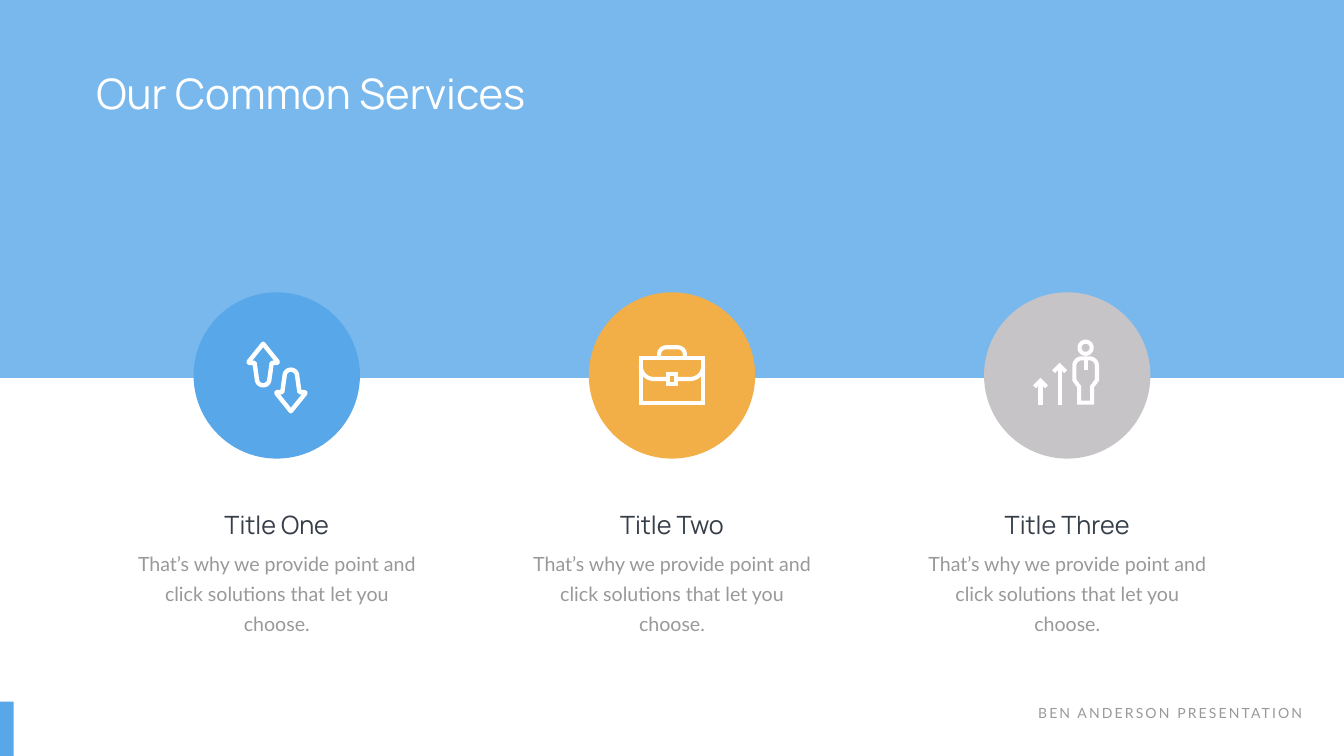
"""Build the "Our Common Services" slide with three icon columns."""
import math

import pptx
import pptx.dml.color
import pptx.enum.shapes
import pptx.enum.text
import pptx.oxml
import pptx.oxml.ns
import pptx.util

Inches, Pt = pptx.util.Inches, pptx.util.Pt
RGB = pptx.dml.color.RGBColor.from_string
ALIGN, ANCHOR = pptx.enum.text.PP_ALIGN, pptx.enum.text.MSO_ANCHOR
SHAPE = pptx.enum.shapes.MSO_SHAPE
NS = pptx.oxml.ns.nsdecls("a")

COLORS = {"blue": "57A7E9", "orange": "F3AF47", "silver": "C7C4C7",
          "white": "FFFFFF", "ink": "363E48", "gray": "999999"}
WIDTH, HEIGHT = 26.66, 15
PITCH, CIRCLE, CIRCLE_Y = 7.84, 3.3, 7.45
BODY = "That’s why we provide point and click solutions that let you choose."

deck = pptx.Presentation()
deck.slide_width, deck.slide_height = Inches(WIDTH), Inches(HEIGHT)
slide = deck.slides.add_slide(deck.slide_layouts[5])
centers = [WIDTH / 2 + (column - 1) * PITCH for column in range(3)]


def arc(x, y, radius, start, end):
    """Return points along a circle, angles clockwise in degrees."""
    steps = max(6, abs(end - start) // 10)
    angles = [math.radians(start + (end - start) * i / steps) for i in range(steps + 1)]
    return [(round(x + radius * math.cos(a), 3), round(y + radius * math.sin(a), 3))
            for a in angles]


def draw_outline(center, contours, width=5.8, join='<a:miter %s lim="800000"/>'):
    """Draw white strokes placed relative to a circle's center."""
    builder = None
    for contour in contours:
        points = [(Inches(center + x), Inches(CIRCLE_Y + y)) for x, y in contour]
        if builder is None:
            builder = slide.shapes.build_freeform(*points[0])
        else:
            builder.move_to(*points[0])
        builder.add_line_segments(points[1:], close=points[0] == points[-1])
    outline = builder.convert_to_shape()
    outline.shadow.inherit = False
    outline.fill.background()
    outline.line.color.rgb = RGB(COLORS["white"])
    outline.line.width = Pt(width)
    outline.line._ln.append(pptx.oxml.parse_xml(join % NS))


panels = [(SHAPE.RECTANGLE, 0, 0, WIDTH, HEIGHT / 2, "blue"),
          (SHAPE.RECTANGLE, 0, HEIGHT - 1.08, 0.27, 1.08, "blue")]
panels += [(SHAPE.OVAL, center - CIRCLE / 2, CIRCLE_Y - CIRCLE / 2, CIRCLE, CIRCLE, color)
           for center, color in zip(centers, ("blue", "orange", "silver"))]
drawn = []
for kind, left, top, width, height, color in panels:
    panel = slide.shapes.add_shape(kind, *map(Inches, (left, top, width, height)))
    panel.shadow.inherit = False
    panel.fill.solid()
    panel.fill.fore_color.rgb = RGB(COLORS[color])
    panel.line.fill.background()
    drawn.append(panel)

band = drawn[0]
band_color = band._element.spPr.find(".//" + pptx.oxml.ns.qn("a:srgbClr"))
band_color.append(pptx.oxml.parse_xml(f'<a:alpha {NS} val="80000"/>'))

heading = slide.shapes.title
heading._element.addprevious(band._element)
heading.left, heading.top, heading.width, heading.height = map(Inches, (1.81, 1.28, 9.76, 1.11))

up_half = [(0, -0.63), (0.29, -0.27), (0.28, -0.25), (0.17, -0.25)]
up_arrow = up_half + arc(0, 0.07, 0.125, 0, 180) + [(-x, y) for x, y in reversed(up_half)]
draw_outline(centers[0], [[(x - 0.27, y) for x, y in up_arrow]], 6.3, "<a:round %s/>")
draw_outline(centers[0], [[(0.28 - x, 0.08 - y) for x, y in up_arrow]], 6.3, "<a:round %s/>")

case = [(-0.62, -0.35), (0.62, -0.35), (0.62, 0.55), (-0.62, 0.55), (-0.62, -0.35)]
handle = ([(-0.255, -0.35)] + arc(-0.115, -0.42, 0.14, 180, 270)
          + arc(0.115, -0.42, 0.14, 270, 360) + [(0.255, -0.35)])
flap = arc(-0.36, -0.19, 0.26, 180, 90) + [(-0.08, 0.07)]
clasp = [(-0.08, -0.03), (0.08, -0.03), (0.08, 0.17), (-0.08, 0.17), (-0.08, -0.03)]
draw_outline(centers[1], [case, handle, flap, [(-x, y) for x, y in flap], clasp])

AXIS = 0.365
right_side = [(0, -0.34)] + arc(0.075, -0.19, 0.15, 270, 360) + [
    (0.225, 0.09), (0.13, 0.22), (0.13, 0.54)]
body = right_side + [(-x, y) for x, y in reversed(right_side)]
tie = [(0, -0.34), (0, -0.11)]
draw_outline(centers[2], [[(AXIS + x, y) for x, y in part] for part in (body, tie)])
draw_outline(centers[2], [arc(AXIS, -0.55, 0.12, 0, 360)])
for x, tip in ((-0.15, -0.195), (-0.53, 0.105)):
    chevron = [(x - 0.12, tip + 0.12), (x, tip), (x + 0.12, tip + 0.12)]
    draw_outline(centers[2], [chevron, [(x, tip), (x, 0.58)]])

footer = slide.shapes.add_textbox(*map(Inches, (20.08, 13.92, 5.85, 0.44)))
texts = [(heading, "Our Common Services", 60, "Manrope", "white", ALIGN.LEFT, True),
         (footer, "BEN ANDERSON PRESENTATION", 20, "Lato", "gray", ALIGN.RIGHT, True)]
for center, name, width in zip(centers, ("Title One", "Title Two", "Title Three"),
                               (2.39, 2.37, 2.77)):
    description = slide.shapes.add_textbox(*map(Inches, (center - 2.985, 10.77, 5.97, 1.25)))
    caption = slide.shapes.add_textbox(*map(Inches, (center - width / 2, 10.06, width, 0.71)))
    texts += [(description, BODY, 28, "Lato", "gray", ALIGN.CENTER, True),
              (caption, name, 36, "Manrope", "ink", ALIGN.CENTER, False)]

for box, wording, size, font, color, align, wrap in texts:
    frame = box.text_frame
    frame.text = wording
    frame.word_wrap = wrap
    frame.auto_size = pptx.enum.text.MSO_AUTO_SIZE.NONE
    frame.vertical_anchor = ANCHOR.MIDDLE if font == "Manrope" else ANCHOR.TOP
    paragraph = frame.paragraphs[0]
    paragraph.alignment = align
    if wording == BODY:
        paragraph.line_spacing = Pt(43)
    paragraph.font.size, paragraph.font.name = Pt(size), font
    paragraph.font.color.rgb = RGB(COLORS[color])
footer.text_frame.paragraphs[0].runs[0]._r.get_or_add_rPr().set("spc", "300")

deck.save("out.pptx")
